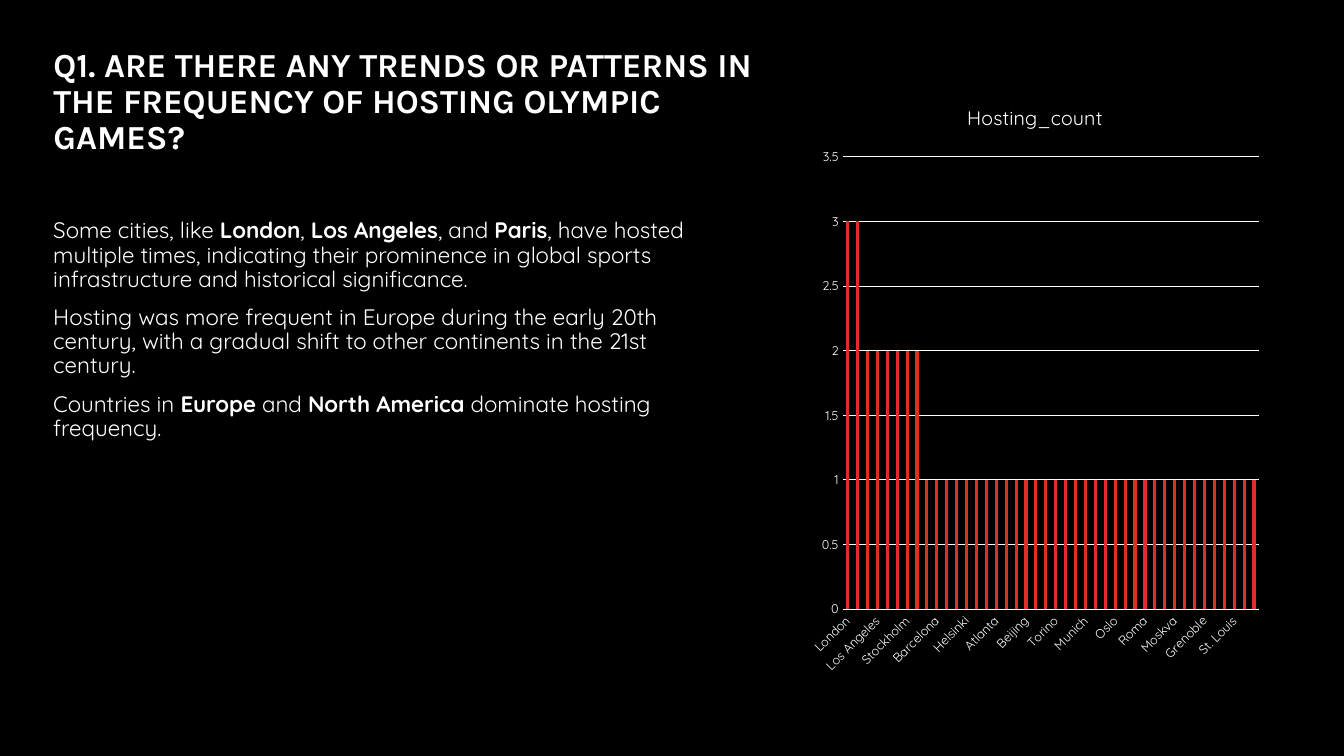
from dataclasses import dataclass

import pptx
import pptx.chart.axis
import pptx.chart.data
import pptx.dml.color
import pptx.enum.chart
import pptx.enum.text
import pptx.slide
import pptx.text.text
import pptx.util
from pptx.util import Inches

BLACK = pptx.dml.color.RGBColor(0x00, 0x00, 0x00)
WHITE = pptx.dml.color.RGBColor(0xFF, 0xFF, 0xFF)
RED = pptx.dml.color.RGBColor(0xDF, 0x2E, 0x28)
HEADING_FONT = "Karla"
BODY_FONT = "Quicksand"


@dataclass(frozen=True)
class Span:
    text: str
    bold: bool = False


@dataclass(frozen=True)
class TextBlock:
    left: float
    top: float
    width: float
    height: float
    inset_top: float
    font: str
    size: float
    paragraphs: list[list[Span]]


TEXT_BLOCKS = [
    TextBlock(0.43, 0.38, 7.52, 1.75, 0.1, HEADING_FONT, 24, [
        [Span("Q1. ARE THERE ANY TRENDS OR PATTERNS IN THE FREQUENCY OF HOSTING OLYMPIC GAMES?", True)],
    ]),
    TextBlock(0.43, 2.13, 6.77, 3.38, 0.05, BODY_FONT, 16, [
        [
            Span("Some cities, like "),
            Span("London", True),
            Span(", "),
            Span("Los Angeles", True),
            Span(", and "),
            Span("Paris", True),
            Span(", have hosted multiple times, indicating their prominence in global sports "
                 "infrastructure and historical significance."),
        ],
        [Span("Hosting was more frequent in Europe during the early 20th century, "
              "with a gradual shift to other continents in the 21st century.")],
        [
            Span("Countries in "),
            Span("Europe", True),
            Span(" and "),
            Span("North America", True),
            Span(" dominate hosting frequency."),
        ],
    ]),
]

HOST_CITIES = {
    3: ["London", "Athina"],
    2: ["Lake Placid", "Los Angeles", "Paris", "Innsbruck", "Stockholm", "Sankt Moritz"],
    1: [
        "Calgary", "Barcelona", "Lillehammer", "Salt Lake City", "Helsinki", "Albertville",
        "Sydney", "Atlanta", "Sochi", "Nagano", "Beijing", "Rio de Janeiro", "Squaw Valley",
        "Torino", "Sarajevo", "Mexico City", "Munich", "Seoul", "Berlin", "Oslo",
        "Cortina d'Ampezzo", "Melbourne", "Roma", "Amsterdam", "Montreal", "Moskva", "Tokyo",
        "Vancouver", "Grenoble", "Sapporo", "Chamonix", "St. Louis", "Antwerpen",
        "Garmisch-Partenkirchen",
    ],
}


def style_font(font: pptx.text.text.Font, name: str, size: float, bold: bool = False) -> None:
    font.name = name
    font.size = pptx.util.Pt(size)
    font.bold = bold
    font.color.rgb = WHITE


def add_text_block(slide: pptx.slide.Slide, block: TextBlock) -> None:
    box = slide.shapes.add_textbox(
        Inches(block.left), Inches(block.top), Inches(block.width), Inches(block.height))
    frame = box.text_frame
    frame.word_wrap = True
    frame.vertical_anchor = pptx.enum.text.MSO_ANCHOR.TOP
    frame.margin_top = Inches(block.inset_top)
    for index, spans in enumerate(block.paragraphs):
        para = frame.add_paragraph() if index else frame.paragraphs[0]
        para.line_spacing = 0.9
        para.space_before = pptx.util.Pt(10 if index else 0)
        for span in spans:
            run = para.add_run()
            run.text = span.text
            style_font(run.font, block.font, block.size, span.bold)


def style_axis(axis: pptx.chart.axis.CategoryAxis | pptx.chart.axis.ValueAxis) -> None:
    axis.major_tick_mark = pptx.enum.chart.XL_TICK_MARK.NONE
    axis.minor_tick_mark = pptx.enum.chart.XL_TICK_MARK.NONE
    style_font(axis.tick_labels.font, BODY_FONT, 9)


def add_hosting_chart(slide: pptx.slide.Slide) -> None:
    chart_data = pptx.chart.data.CategoryChartData()
    chart_data.categories = [city for cities in HOST_CITIES.values() for city in cities]
    counts = [count for count, cities in HOST_CITIES.items() for _ in cities]
    chart_data.add_series("Hosting_count", counts)
    chart = slide.shapes.add_chart(
        pptx.enum.chart.XL_CHART_TYPE.COLUMN_CLUSTERED,
        Inches(7.95), Inches(0.82), Inches(4.63), Inches(5.98), chart_data).chart
    style_font(chart.font, BODY_FONT, 10)
    chart.has_legend = False
    chart.has_title = True
    chart.chart_title.include_in_layout = False
    title = chart.chart_title.text_frame.paragraphs[0].add_run()
    title.text = "Hosting_count"
    style_font(title.font, BODY_FONT, 14)

    plot = chart.plots[0]
    plot.vary_by_categories = False
    plot.gap_width = 219
    plot.overlap = -27
    fill = plot.series[0].format.fill
    fill.solid()
    fill.fore_color.rgb = RED

    category_axis, value_axis = chart.category_axis, chart.value_axis
    style_axis(category_axis)
    style_axis(value_axis)
    category_axis._element.txPr.bodyPr.set("rot", "-2700000")
    value_axis.minimum_scale = 0
    value_axis.maximum_scale = 3.5
    value_axis.major_unit = 0.5
    value_axis.has_major_gridlines = True
    value_axis.format.line.fill.background()
    for line in (category_axis.format.line, value_axis.major_gridlines.format.line):
        line.color.rgb = WHITE
        line.width = pptx.util.Pt(0.75)


def main() -> None:
    deck = pptx.Presentation()
    deck.slide_width = Inches(13.33)
    deck.slide_height = Inches(7.5)
    slide = deck.slides.add_slide(deck.slide_layouts[6])
    background = slide.background.fill
    background.solid()
    background.fore_color.rgb = BLACK
    for block in TEXT_BLOCKS:
        add_text_block(slide, block)
    add_hosting_chart(slide)
    deck.save("out.pptx")


if __name__ == "__main__":
    main()
